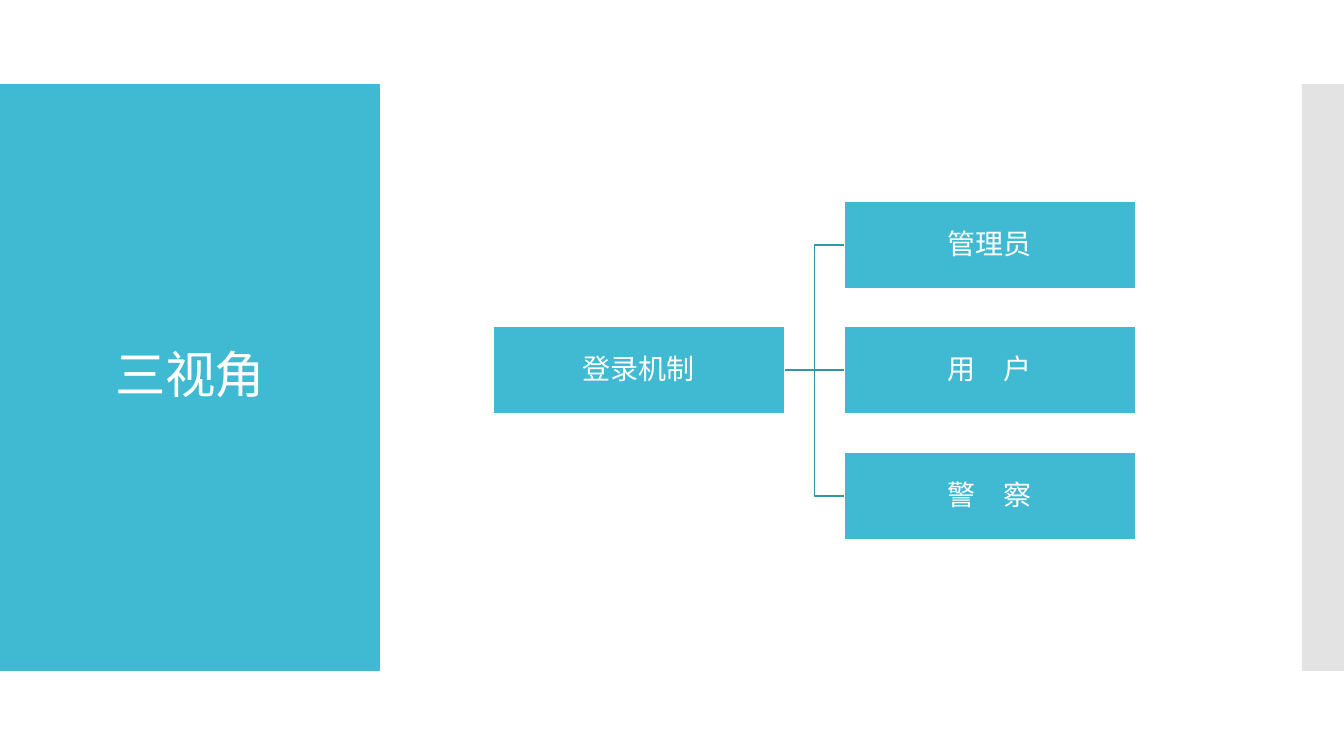
from lxml.etree import SubElement
from pptx import Presentation
from pptx.dml.color import RGBColor
from pptx.enum.shapes import MSO_CONNECTOR, MSO_SHAPE
from pptx.enum.text import MSO_ANCHOR, PP_ALIGN
from pptx.oxml.ns import qn
from pptx.util import Pt

PX = 914400 / 100.8  # EMU in one px
TEAL, DARK_TEAL, GRAY, WHITE = "40BAD2", "3395A8", "C8C8C8", "FFFFFF"
CJK_FONT = "Noto Sans CJK SC"


def add_box(left, top, width, height, fill, line=None):
    box = page.shapes.add_shape(
        MSO_SHAPE.RECTANGLE, *(round(n * PX) for n in (left, top, width, height)))
    box.shadow.inherit = False
    box.fill.solid()
    box.fill.fore_color.rgb = RGBColor.from_string(fill)
    if line:
        box.line.color.rgb = RGBColor.from_string(line)
        box.line.width = Pt(0.85)
    else:
        box.line.fill.background()
    return box


def write(shape, text, size, font=CJK_FONT, color=WHITE, inset=1, after=0, spacing=0):
    frame = shape.text_frame
    frame.word_wrap = True
    frame.vertical_anchor = MSO_ANCHOR.MIDDLE
    frame.margin_left = frame.margin_right = round(inset * PX)
    frame.margin_top = frame.margin_bottom = round(inset * PX)
    para = frame.paragraphs[0]
    para.alignment = PP_ALIGN.CENTER
    para.line_spacing = 0.9
    para.space_after = Pt(after)
    span = para.add_run()
    span.text = text
    span.font.size = Pt(size)
    span.font.name = font
    span.font.color.rgb = RGBColor.from_string(color)
    properties = span.font._element
    properties.set("spc", str(spacing))
    SubElement(properties, qn("a:ea")).set("typeface", CJK_FONT)


deck = Presentation()
deck.slide_width, deck.slide_height = round(1344 * PX), round(756 * PX)
page = deck.slides.add_slide(deck.slide_layouts[5])
title = page.shapes.title

# Side panels, behind the title
side_panel = add_box(0, 84, 380, 587, TEAL)
edge_strip = add_box(1302, 84, 42, 587, GRAY)
strip_color = edge_strip.fill._xPr.find(qn("a:solidFill"))[0]
SubElement(strip_color, qn("a:alpha")).set("val", "50000")
title._element.addprevious(side_panel._element)
title._element.addprevious(edge_strip._element)

# Title
title.left, title.top = round(28 * PX), round(124 * PX)
title.width, title.height = round(325 * PX), round(507 * PX)
write(title, "三视角", 36, font="Calibri", inset=5, spacing=-60)

# Tree: one root, three roles joined to it
root = add_box(493, 326, 292, 88, TEAL, WHITE)
write(root, "登录机制", 20, after=7)
for row, role in enumerate(["管理员", "用　户", "警　察"]):
    role_box = add_box(844, 201 + row * 251 // 2, 292, 88, TEAL, WHITE)
    write(role_box, role, 20, after=7)
    kind = MSO_CONNECTOR.STRAIGHT if role_box.top == root.top else MSO_CONNECTOR.ELBOW
    branch = page.shapes.add_connector(kind, 0, 0, 0, 0)
    branch.begin_connect(root, 3)
    branch.end_connect(role_box, 1)
    branch.line.color.rgb = RGBColor.from_string(DARK_TEAL)
    branch.line.width = Pt(0.85)
    SubElement(branch._element.spPr, qn("a:effectLst"))

deck.save("out.pptx")
